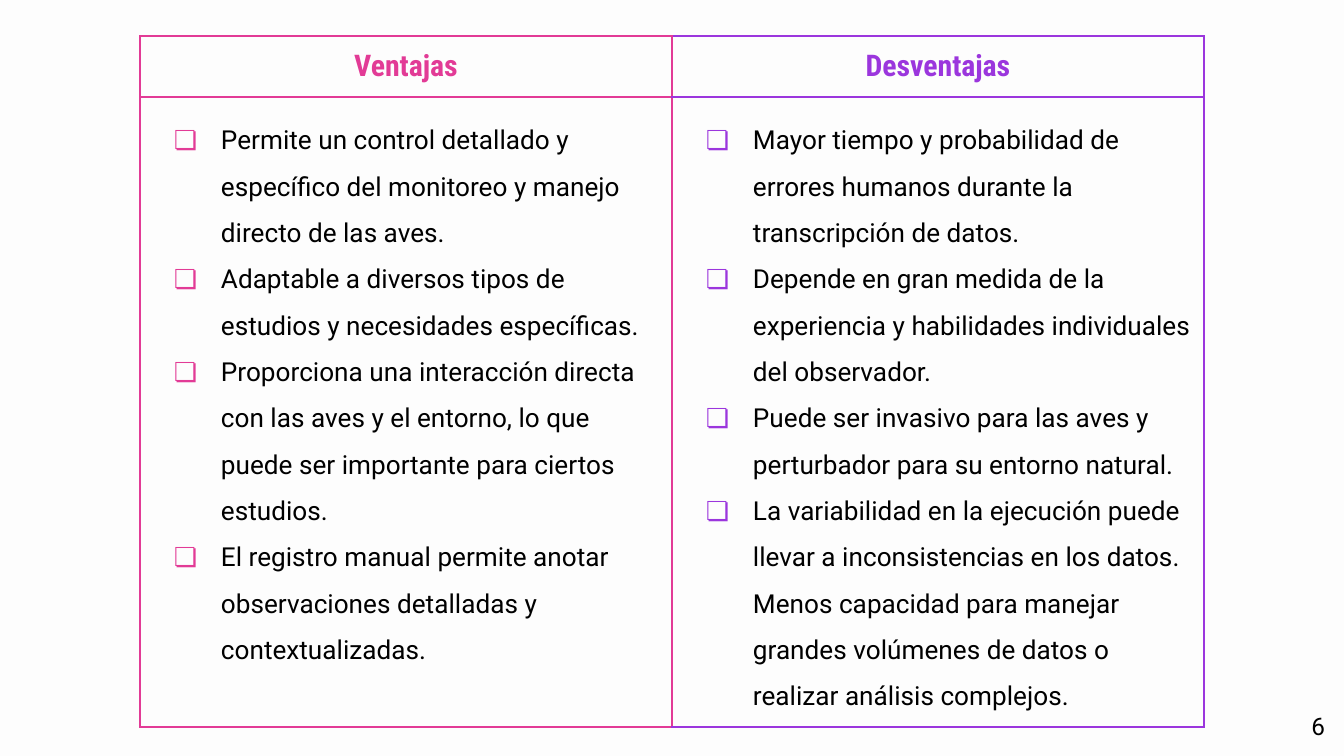
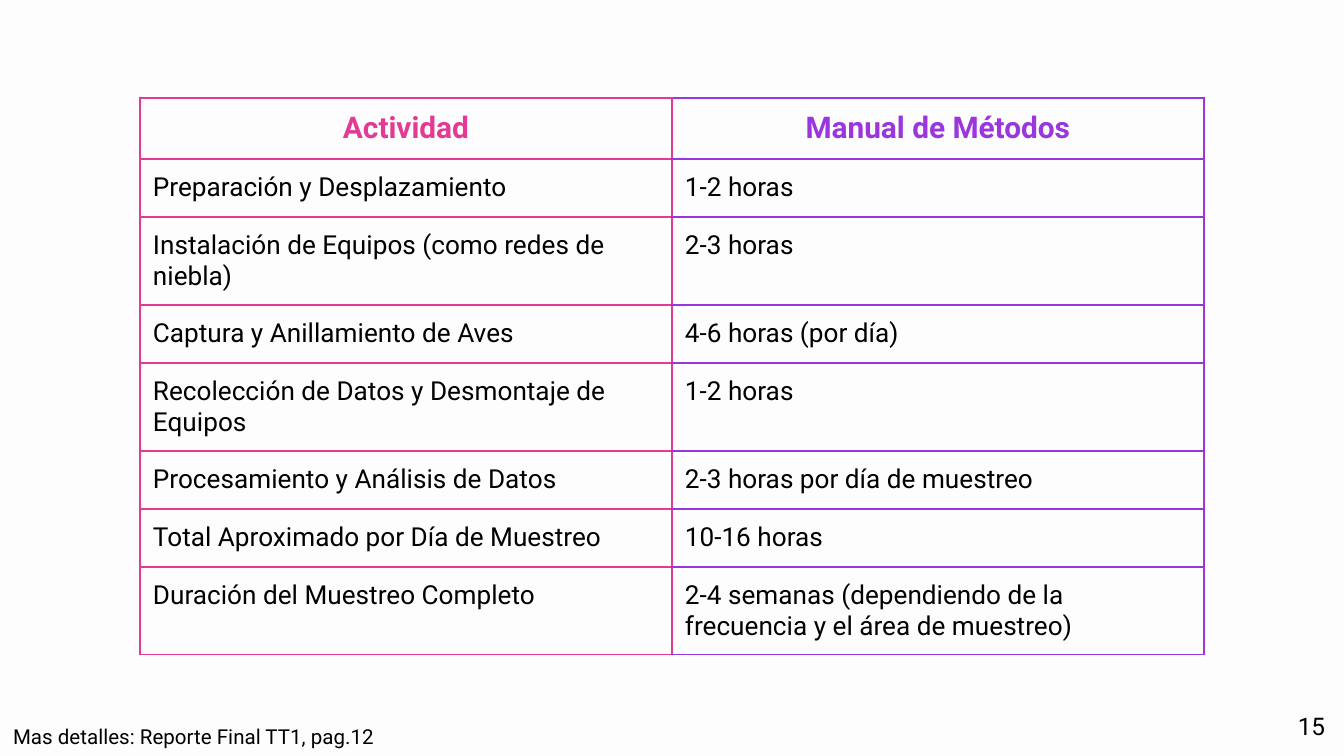
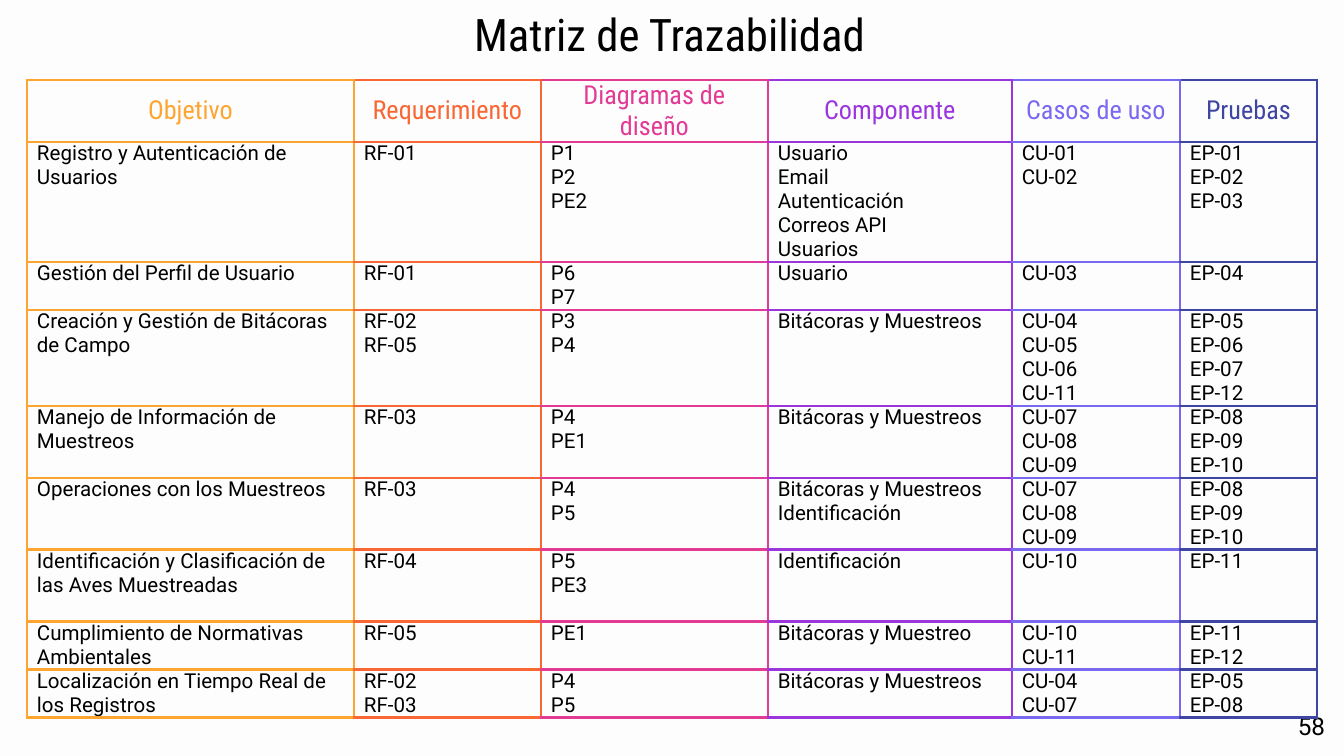
import dataclasses

import lxml.etree
import pptx
import pptx.dml.color
import pptx.enum.text
import pptx.oxml.ns
import pptx.util

ALIGN = pptx.enum.text.PP_ALIGN
ANCHOR = pptx.enum.text.MSO_ANCHOR
SLIDE_WIDTH, SLIDE_HEIGHT = 1344, 756


@dataclasses.dataclass(frozen=True)
class Theme:
    background: str = "FDFDFD"
    ink: str = "000000"
    amber: str = "FDA530"
    orange: str = "F86734"
    pink: str = "E23B96"
    purple: str = "9B36DD"
    violet: str = "7968F0"
    navy: str = "3E45A2"
    body_font: str = "Roboto"
    heading_font: str = "Roboto Condensed"
    title_size: int = 24
    heading_size: int = 16
    body_size: int = 14
    page_size: int = 13
    small_size: int = 11


@dataclasses.dataclass(frozen=True)
class TableStyle:
    """Looks of one table; margins are (horizontal, vertical) in px."""
    colors: tuple
    heading_font: str
    heading_size: int
    body_size: int
    margins: tuple = (13, 13)
    border: float = 0.75
    bold_heading: bool = True
    heading_anchor: ANCHOR = ANCHOR.TOP
    bullet: str = ""


def px(length):
    return pptx.util.Emu(round(length * 9144000 / SLIDE_WIDTH))


def add_xml(parent, tag, **attributes):
    return lxml.etree.SubElement(parent, pptx.oxml.ns.qn(tag), attributes)


class Deck:
    def __init__(self, theme):
        self.theme = theme
        self.presentation = pptx.Presentation()
        self.presentation.slide_width = px(SLIDE_WIDTH)
        self.presentation.slide_height = px(SLIDE_HEIGHT)
        fill = self.presentation.slide_master.background.fill
        fill.solid()
        fill.fore_color.rgb = pptx.dml.color.RGBColor.from_string(theme.background)
        self.slide = None

    def new_slide(self, number, title=None):
        layout = self.presentation.slide_layouts[5 if title else 6]
        self.slide = self.presentation.slides.add_slide(layout)
        if title:
            self.title(title)
        self.text(str(number), (1257, 698, 81, 58), self.theme.page_size, ALIGN.RIGHT)

    def format(self, paragraph, size, font=None, color=None, bold=False, align=ALIGN.LEFT):
        paragraph.alignment = align
        paragraph.font.size = pptx.util.Pt(size)
        paragraph.font.name = font or self.theme.body_font
        paragraph.font.bold = bold
        paragraph.font.color.rgb = pptx.dml.color.RGBColor.from_string(color or self.theme.ink)

    def set_margins(self, frame):
        frame.margin_left = frame.margin_right = px(13)
        frame.margin_top = frame.margin_bottom = px(13)
        frame.word_wrap = True
        frame.auto_size = pptx.enum.text.MSO_AUTO_SIZE.NONE

    def title(self, words):
        heading = self.slide.shapes.title
        heading.left, heading.top, heading.width, heading.height = map(px, (64, 16, 1211, 36))
        frame = heading.text_frame
        frame.text = words
        self.set_margins(frame)
        frame.vertical_anchor = ANCHOR.MIDDLE
        self.format(frame.paragraphs[0], self.theme.title_size,
                    self.theme.heading_font, align=ALIGN.CENTER)

    def text(self, words, box, size, align=ALIGN.LEFT):
        frame = self.slide.shapes.add_textbox(*map(px, box)).text_frame
        frame.text = words
        self.set_margins(frame)
        self.format(frame.paragraphs[0], size, align=align)

    def bullet(self, paragraph, mark, color):
        paragraph.line_spacing = 1.5
        properties = paragraph._p.get_or_add_pPr()
        properties.set("marL", str(px(68)))
        properties.set("indent", str(-px(47)))
        add_xml(add_xml(properties, "a:buClr"), "a:srgbClr", val=color)
        add_xml(properties, "a:buFont", typeface=self.theme.body_font)
        add_xml(properties, "a:buChar", char=mark)

    def borders(self, cell, left_color, color, width):
        properties = cell._tc.get_or_add_tcPr()
        for side in "LRTB":
            line = add_xml(properties, f"a:ln{side}", w=str(pptx.util.Pt(width)))
            side_color = left_color if side == "L" else color
            add_xml(add_xml(line, "a:solidFill"), "a:srgbClr", val=side_color)

    def table(self, origin, widths, heights, rows, style):
        """Draw rows of texts, the first as headings; a line break starts a paragraph."""
        box = (*origin, sum(widths), sum(heights))
        table = self.slide.shapes.add_table(len(rows), len(widths), *map(px, box)).table
        table.first_row = table.horz_banding = False
        for column, width in zip(table.columns, widths):
            column.width = px(width)
        for row, height in zip(table.rows, heights):
            row.height = px(height)
        for row_index, texts in enumerate(rows):
            for column_index, words in enumerate(texts):
                color = style.colors[column_index]
                left_color = style.colors[max(column_index - 1, 0)]
                cell = table.cell(row_index, column_index)
                self.borders(cell, left_color, color, style.border)
                self.cell(cell, words, color, style, row_index == 0)

    def cell(self, cell, words, color, style, is_heading):
        cell.fill.background()
        cell.margin_left = cell.margin_right = px(style.margins[0])
        cell.margin_top = cell.margin_bottom = px(style.margins[1])
        cell.vertical_anchor = style.heading_anchor if is_heading else ANCHOR.TOP
        cell.text_frame.text = words
        for paragraph in cell.text_frame.paragraphs:
            if is_heading:
                self.format(paragraph, style.heading_size, style.heading_font, color,
                            style.bold_heading, ALIGN.CENTER)
                continue
            if style.bullet:
                self.bullet(paragraph, style.bullet, color)
            self.format(paragraph, style.body_size)


def pros_and_cons(deck):
    theme = deck.theme
    deck.new_slide(6)
    advantages = [
        "Permite un control detallado y específico del monitoreo y manejo directo de las aves.",
        "Adaptable a diversos tipos de estudios y necesidades específicas.",
        "Proporciona una interacción directa con las aves y el entorno, lo que puede ser "
        "importante para ciertos estudios.",
        "El registro manual permite anotar observaciones detalladas y contextualizadas.",
    ]
    drawbacks = [
        "Mayor tiempo y probabilidad de errores humanos durante la transcripción de datos.",
        "Depende en gran medida de la experiencia y habilidades individuales del observador.",
        "Puede ser invasivo para las aves y perturbador para su entorno natural.",
        "La variabilidad en la ejecución puede llevar a inconsistencias en los datos. Menos "
        "capacidad para manejar grandes volúmenes de datos o realizar análisis complejos.",
    ]
    rows = [("Ventajas", "Desventajas"), ("\n".join(advantages), "\n".join(drawbacks))]
    style = TableStyle((theme.pink, theme.purple), theme.heading_font,
                       theme.heading_size, theme.body_size, bullet="❏")
    deck.table((140, 36), (532, 532), (61, 630), rows, style)


def activity_times(deck):
    theme = deck.theme
    deck.new_slide(15)
    rows = [
        ("Actividad", "Manual de Métodos"),
        ("Preparación y Desplazamiento", "1-2 horas"),
        ("Instalación de Equipos (como redes de niebla)", "2-3 horas"),
        ("Captura y Anillamiento de Aves", "4-6 horas (por día)"),
        ("Recolección de Datos y Desmontaje de Equipos", "1-2 horas"),
        ("Procesamiento y Análisis de Datos", "2-3 horas por día de muestreo"),
        ("Total Aproximado por Día de Muestreo", "10-16 horas"),
        ("Duración del Muestreo Completo",
         "2-4 semanas (dependiendo de la frecuencia y el área de muestreo)"),
    ]
    one_line, two_lines = 58, 88
    heights = (61, one_line, two_lines, one_line, two_lines, one_line, one_line, two_lines)
    style = TableStyle((theme.pink, theme.purple), theme.body_font,
                       theme.heading_size, theme.body_size)
    deck.table((140, 98), (532, 532), heights, rows, style)
    deck.text("Mas detalles: Reporte Final TT1, pag.12", (0, 711, 399, 45), theme.small_size)


def traceability_matrix(deck):
    theme = deck.theme
    deck.new_slide(58, "Matriz de Trazabilidad")
    rows = [
        ("Objetivo", "Requerimiento", "Diagramas de diseño", "Componente",
         "Casos de uso", "Pruebas"),
        ("Registro y Autenticación de Usuarios", "RF-01", "P1\nP2\nPE2",
         "Usuario\nEmail\nAutenticación\nCorreos API\nUsuarios",
         "CU-01\nCU-02", "EP-01\nEP-02\nEP-03"),
        ("Gestión del Perfil de Usuario", "RF-01", "P6\nP7", "Usuario", "CU-03", "EP-04"),
        ("Creación y Gestión de Bitácoras de Campo", "RF-02\nRF-05", "P3\nP4",
         "Bitácoras y Muestreos", "CU-04\nCU-05\nCU-06\nCU-11",
         "EP-05\nEP-06\nEP-07\nEP-12"),
        ("Manejo de Información de Muestreos", "RF-03", "P4\nPE1",
         "Bitácoras y Muestreos", "CU-07\nCU-08\nCU-09", "EP-08\nEP-09\nEP-10"),
        ("Operaciones con los Muestreos", "RF-03", "P4\nP5",
         "Bitácoras y Muestreos\nIdentificación", "CU-07\nCU-08\nCU-09",
         "EP-08\nEP-09\nEP-10"),
        ("Identificación y Clasificación de las Aves Muestreadas", "RF-04", "P5\nPE3",
         "Identificación", "CU-10", "EP-11"),
        ("Cumplimiento de Normativas Ambientales", "RF-05", "PE1",
         "Bitácoras y Muestreo", "CU-10\nCU-11", "EP-11\nEP-12"),
        ("Localización en Tiempo Real de los Registros", "RF-02\nRF-03", "P4\nP5",
         "Bitácoras y Muestreos", "CU-04\nCU-07", "EP-05\nEP-08"),
    ]
    line_height = 24
    line_counts = (5, 2, 4, 3, 3, 3, 2, 2)
    heights = [61] + [line_height * count for count in line_counts]
    colors = (theme.amber, theme.orange, theme.pink, theme.purple, theme.violet, theme.navy)
    style = TableStyle(colors, theme.heading_font, theme.body_size, theme.small_size,
                       margins=(10, 0), border=1.5, bold_heading=False,
                       heading_anchor=ANCHOR.MIDDLE)
    deck.table((27, 80), (327, 187, 227, 244, 168, 137), heights, rows, style)


def main():
    deck = Deck(Theme())
    pros_and_cons(deck)
    activity_times(deck)
    traceability_matrix(deck)
    deck.presentation.save("out.pptx")


if __name__ == "__main__":
    main()
